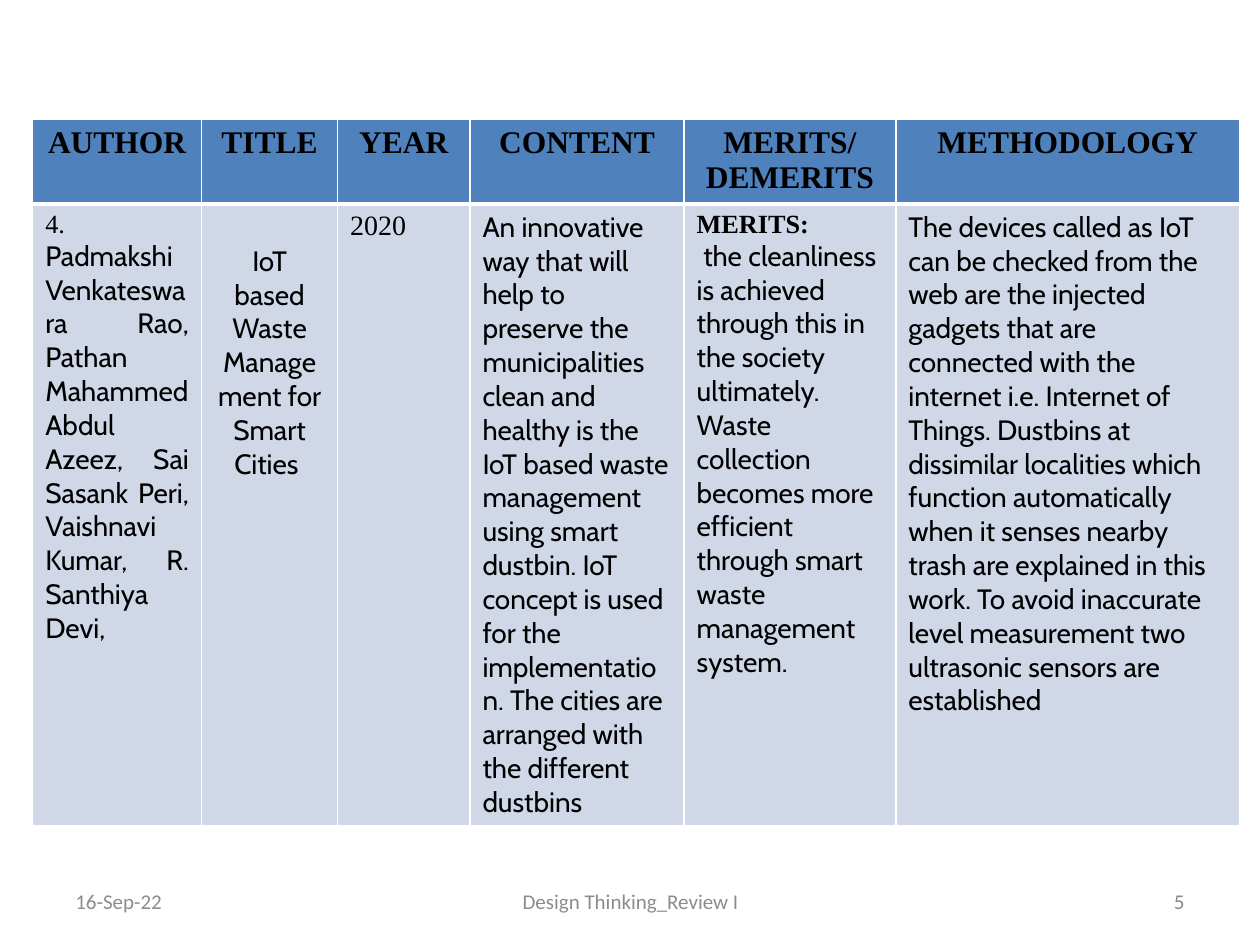
from dataclasses import dataclass

from lxml.etree import fromstring
from pptx import Presentation
from pptx.dml.color import RGBColor as Rgb
from pptx.enum.text import MSO_ANCHOR as Anchor, PP_ALIGN as Align
from pptx.oxml.ns import nsdecls
from pptx.util import Inches, Pt


@dataclass(frozen=True)
class Theme:
    heading_fill: str = "4F81BD"
    body_fill: str = "D0D8E8"
    rule: str = "FFFFFF"
    ink: str = "000000"
    footer_ink: str = "8C8C8C"
    page_ink: str = "898989"
    serif: str = "Times New Roman"
    sans: str = "Cabin"
    footer_face: str = "Calibri"
    heading_size: int = 18
    body_size: int = 16
    label_size: int = 15
    footer_size: int = 12


class ReviewSlide:
    def __init__(self, deck, theme):
        self.deck = deck
        self.theme = theme
        self.slide = deck.slides.add_slide(deck.slide_layouts[6])

    def across(self, share):
        return round(self.deck.slide_width * share)

    def down(self, share):
        return round(self.deck.slide_height * share)

    def style(self, font, face, size, color, bold=False):
        font.name, font.size, font.bold = face, Pt(size), bold
        font.color.rgb = Rgb.from_string(color)

    def footer(self, text, left, width, align, color):
        box = self.slide.shapes.add_textbox(
            self.across(left), self.down(0.927), self.across(width), self.down(0.053))
        frame = box.text_frame
        frame.word_wrap = True
        frame.vertical_anchor = Anchor.MIDDLE
        line = frame.paragraphs[0]
        line.text, line.alignment = text, align
        self.style(line.font, self.theme.footer_face, self.theme.footer_size, color)

    def table(self, left, top, widths, heights):
        table = self.slide.shapes.add_table(
            len(heights), len(widths), self.across(left), self.down(top),
            self.across(sum(widths)), self.down(sum(heights))).table
        for column, share in zip(table.columns, widths):
            column.width = self.across(share)
        for row, share in zip(table.rows, heights):
            row.height = self.down(share)
        return table

    def cell(self, cell, fill, rules):
        cell.fill.solid()
        cell.fill.fore_color.rgb = Rgb.from_string(fill)
        properties = cell._tc.get_or_add_tcPr()
        for order, (side, width) in enumerate(zip("LRTB", rules)):
            properties.insert(order, fromstring(
                f'<a:ln{side} {nsdecls("a")} w="{Pt(width)}"><a:solidFill>'
                f'<a:srgbClr val="{self.theme.rule}"/></a:solidFill></a:ln{side}>'))

    def heading(self, cell, lines):
        self.cell(cell, self.theme.heading_fill, (1, 1, 1, 3))
        cell.text = lines
        for line in cell.text_frame.paragraphs:
            line.alignment = Align.CENTER
            self.style(line.font, self.theme.serif, self.theme.heading_size,
                       self.theme.ink, True)

    def body(self, cell, paragraphs):
        self.cell(cell, self.theme.body_fill, (1, 1, 3, 1))
        frame = cell.text_frame
        for order, (align, parts) in enumerate(paragraphs):
            line = frame.add_paragraph() if order else frame.paragraphs[0]
            line.alignment = align
            for text, *look in parts:
                if len(parts) == 1:
                    line.text = text
                    font = line.font
                else:
                    run = line.add_run()
                    run.text = text
                    font = run.font
                face, size, *bold = look
                self.style(font, face, size, self.theme.ink, *bold)


def main():
    deck = Presentation()
    deck.slide_width, deck.slide_height = Inches(10), Inches(7.5)
    theme = Theme()
    review = ReviewSlide(deck, theme)
    sans = (theme.sans, theme.body_size)
    label = (theme.serif, theme.label_size)

    papers = [
        ("AUTHOR", 0.134, [(Align.JUSTIFY, [
            ("4. ", *label),
            ("Padmakshi Venkateswara Rao, Pathan Mahammed Abdul Azeez, Sai Sasank Peri, "
             "Vaishnavi Kumar, R. Santhiya Devi,", *sans)])]),
        ("TITLE", 0.108, [(Align.CENTER, [
            ("IoT based Waste Management for Smart Cities ", *sans)])]),
        ("YEAR", 0.105, [(Align.JUSTIFY, [("2020", theme.serif, theme.body_size)])]),
        ("CONTENT", 0.17, [(Align.LEFT, [
            ("An innovative way that will help to preserve the municipalities clean and "
             "healthy is the IoT based waste management using smart dustbin. IoT concept is "
             "used for the implementation. The cities are arranged with the different "
             "dustbins", *sans)])]),
        ("MERITS/\nDEMERITS", 0.168, [
            (Align.JUSTIFY, [("MERITS:", *label, True)]),
            (Align.LEFT, [
                (" ", *label, True),
                ("the cleanliness is achieved through this in the society ultimately. Waste "
                 "collection becomes more efficient through smart waste management system. ",
                 *sans)])]),
        ("METHODOLOGY", 0.273, [(Align.LEFT, [
            ("The devices called as IoT can be checked from the web are the injected gadgets "
             "that are connected with the internet i.e. Internet of Things. Dustbins at "
             "dissimilar localities which function automatically when it senses nearby trash "
             "are explained in this work. To avoid inaccurate level measurement two "
             "ultrasonic sensors are established", *sans)])]),
    ]
    survey = review.table(0.026, 0.126, [width for _, width, _ in papers], (0.09, 0.65))
    for column, (heading, _, paragraphs) in enumerate(papers):
        review.heading(survey.cell(0, column), heading)
        review.body(survey.cell(1, column), paragraphs)
    survey.cell(1, 1).margin_top = Inches(0.32)

    review.footer("16-Sep-22", 0.05, 0.233, Align.LEFT, theme.footer_ink)
    review.footer("Design Thinking_Review I", 0.342, 0.317, Align.CENTER, theme.footer_ink)
    review.footer("5", 0.717, 0.233, Align.RIGHT, theme.page_ink)
    deck.save("out.pptx")


if __name__ == "__main__":
    main()
